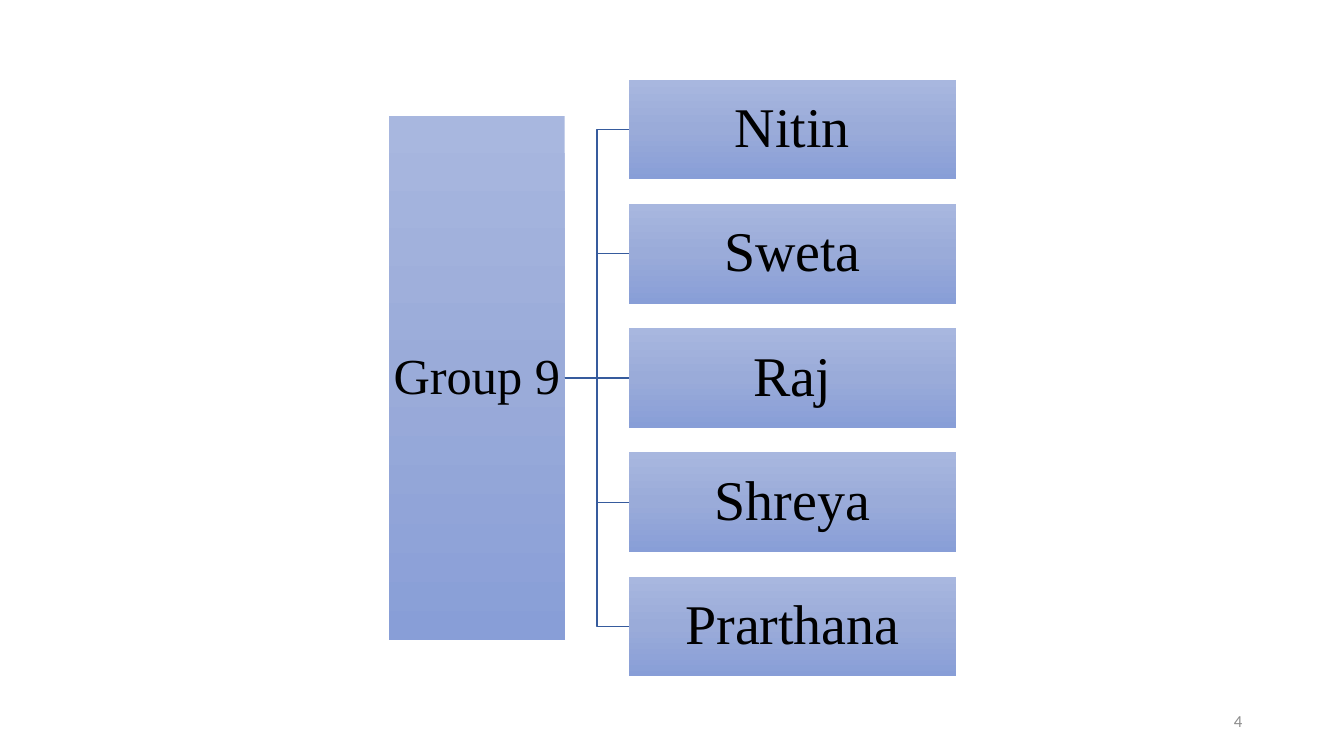
from copy import deepcopy
from dataclasses import dataclass

from lxml.etree import SubElement
from pptx import Presentation
from pptx.dml.color import RGBColor
from pptx.enum.shapes import MSO_CONNECTOR as Connector, MSO_SHAPE as Preset
from pptx.enum.text import MSO_ANCHOR as Anchor, PP_ALIGN as Align
from pptx.oxml.ns import qn
from pptx.shapes.autoshape import Shape
from pptx.slide import Slide
from pptx.util import Inches, Pt

BLACK = RGBColor(0x00, 0x00, 0x00)
GREY = RGBColor(0x8C, 0x8C, 0x8C)
LINK_BLUE = RGBColor(0x36, 0x5B, 0x9D)
GRADIENT = (
    RGBColor(0xA8, 0xB7, 0xDF),
    RGBColor(0x9A, 0xAB, 0xD9),
    RGBColor(0x88, 0x9E, 0xD7),
)

MEMBERS = ("Nitin", "Sweta", "Raj", "Shreya", "Prarthana")
FIRST_TOP = 0.79
LAST_TOP = 5.72
PITCH = (LAST_TOP - FIRST_TOP) / (len(MEMBERS) - 1)
RIGHT_SIDE, LEFT_SIDE = 3, 1


@dataclass
class Box:
    label: str
    left: float
    top: float
    width: float
    height: float
    size: int


def write_text(shape: Shape, text: str, *, size: int, font: str, color: RGBColor,
               align: Align, inset: float, spacing: float = 1.0) -> None:
    frame = shape.text_frame
    frame.word_wrap = True
    frame.vertical_anchor = Anchor.MIDDLE
    frame.margin_left = frame.margin_right = Inches(inset)
    frame.margin_top = frame.margin_bottom = Inches(0.03)
    paragraph = frame.paragraphs[0]
    paragraph.alignment = align
    paragraph.line_spacing = spacing
    run = paragraph.add_run()
    run.text = text
    run.font.size = Pt(size)
    run.font.name = font
    run.font.color.rgb = color


def fill_gradient(shape: Shape) -> None:
    shape.fill.gradient()
    shape.fill.gradient_angle = 270
    stops = next(shape._element.spPr.iter(qn("a:gsLst")))
    stops.insert(1, deepcopy(stops[0]))
    for index, (stop, color) in enumerate(zip(shape.fill.gradient_stops, GRADIENT)):
        stop.position = index / (len(GRADIENT) - 1)
        stop.color.rgb = color


def draw_box(slide: Slide, box: Box) -> Shape:
    shape = slide.shapes.add_shape(
        Preset.RECTANGLE, Inches(box.left), Inches(box.top),
        Inches(box.width), Inches(box.height))
    shape.shadow.inherit = False
    shape.line.fill.background()
    fill_gradient(shape)
    write_text(shape, box.label, size=box.size, font="Times New Roman", color=BLACK,
               align=Align.CENTER, inset=0.03, spacing=0.9)
    return shape


def draw_link(slide: Slide, group: Shape, member: Shape, kind: Connector) -> None:
    link = slide.shapes.add_connector(kind, 0, 0, 0, 0)
    link.begin_connect(group, RIGHT_SIDE)
    link.end_connect(member, LEFT_SIDE)
    link.line.color.rgb = LINK_BLUE
    link.line.width = Pt(1)
    SubElement(link._element.spPr, qn("a:effectLst"))


def main() -> None:
    deck = Presentation()
    deck.slide_width, deck.slide_height = Inches(13.33), Inches(7.5)
    slide = deck.slides.add_slide(deck.slide_layouts[6])

    group = draw_box(slide, Box("Group 9", 3.86, 1.15, 1.74, 5.2, 36))
    middle = len(MEMBERS) // 2
    for index, name in enumerate(MEMBERS):
        top = FIRST_TOP + index * PITCH
        member = draw_box(slide, Box(name, 6.24, top, 3.24, 0.99, 40))
        kind = Connector.STRAIGHT if index == middle else Connector.ELBOW
        draw_link(slide, group, member, kind)

    page_number = slide.shapes.add_textbox(
        Inches(9.42), Inches(6.95), Inches(3), Inches(0.4))
    write_text(page_number, "4", size=12, font="Calibri", color=GREY,
               align=Align.RIGHT, inset=0.1)

    deck.save("out.pptx")


if __name__ == "__main__":
    main()
